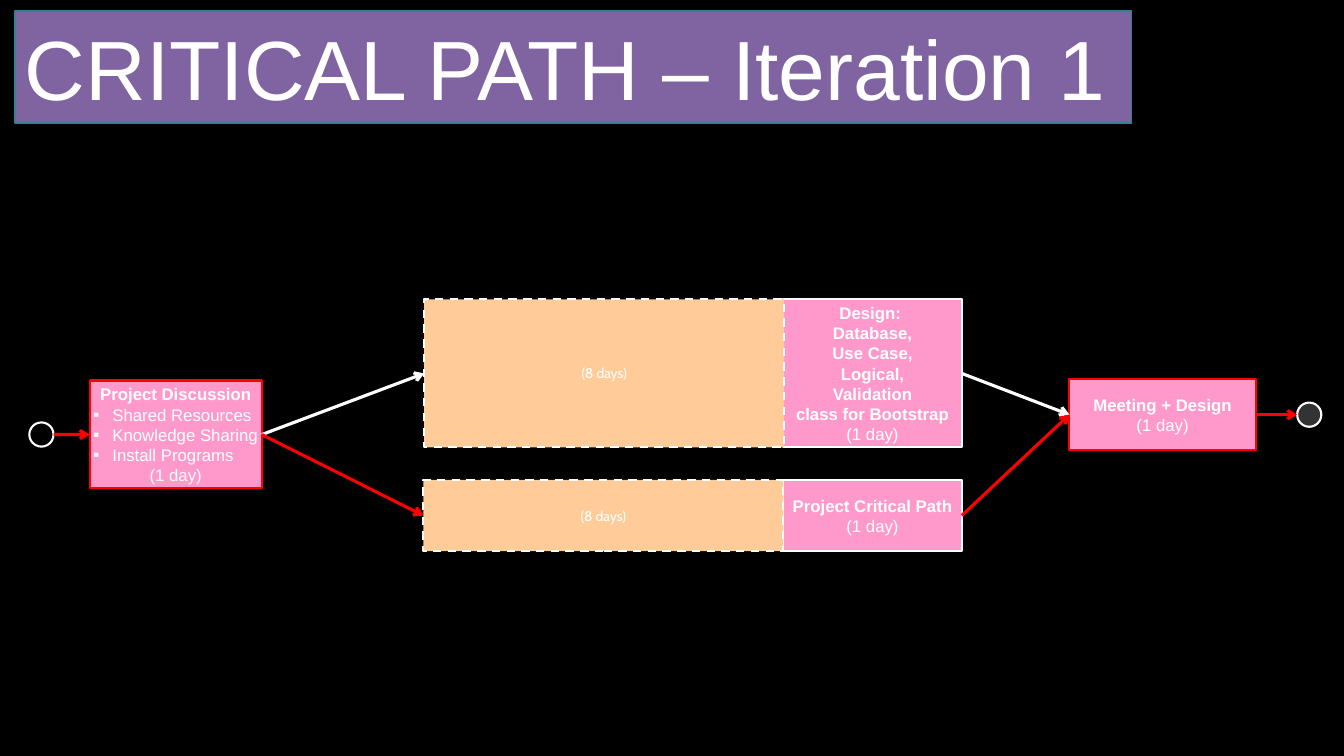
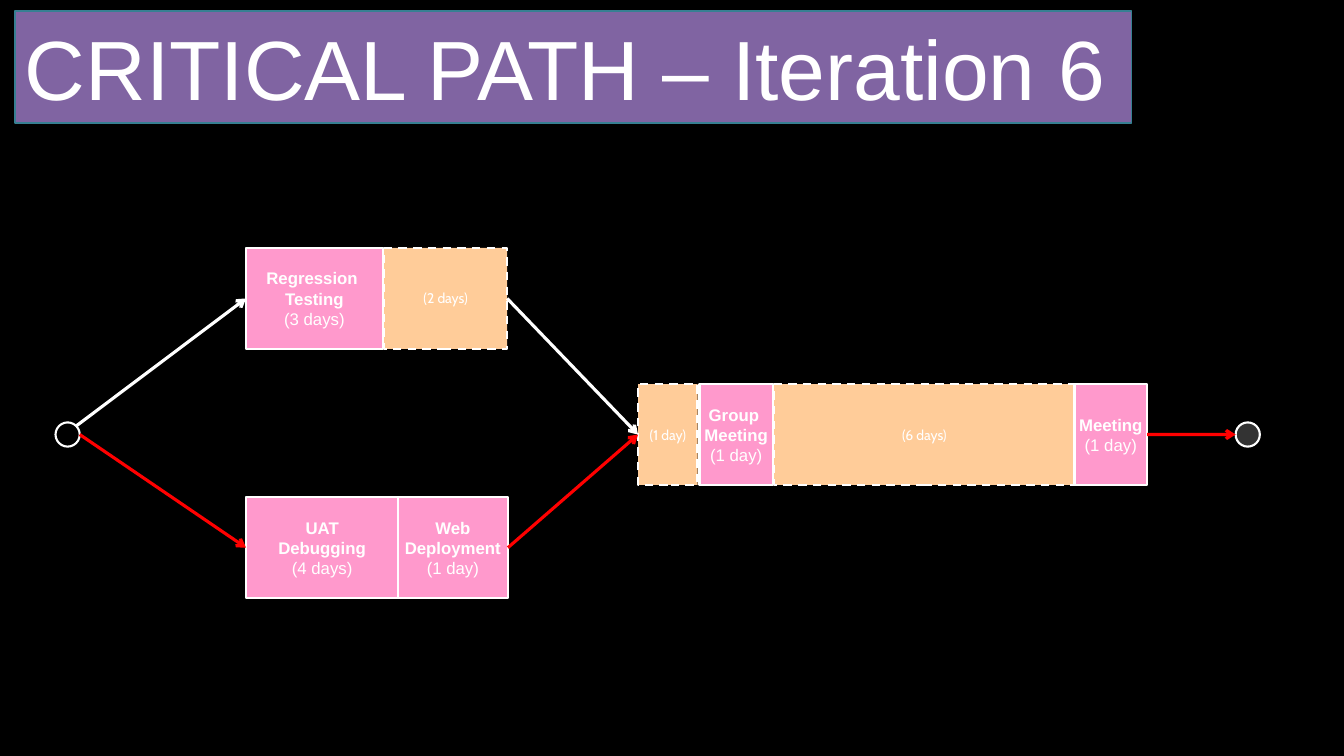
"""Critical path diagrams of two project iterations."""
from dataclasses import dataclass
from typing import Any, NamedTuple

from lxml.etree import SubElement
from pptx import Presentation
from pptx.dml.color import RGBColor
from pptx.enum.dml import MSO_LINE
from pptx.enum.shapes import MSO_CONNECTOR, MSO_SHAPE
from pptx.enum.text import MSO_ANCHOR, MSO_AUTO_SIZE, PP_ALIGN
from pptx.oxml.ns import qn
from pptx.util import Cm, Pt

WHITE, BLACK, CRITICAL = "FFFFFF", "000000", "FF0000"
TITLE_FILL, TITLE_EDGE = "8064A2", "377F92"
BULLET = "▪"
TITLE_FONT = {"name": "Arial", "size": Pt(60)}
TASK_FONT = {"name": "Arial", "size": Pt(12)}
SLACK_FONT = {"name": "Cabin", "size": Pt(10)}
NODE_SIZE = 0.61
LEFT_SITE, RIGHT_SITE = 1, 3


class Look(NamedTuple):
    """Appearance of one kind of block."""
    geometry: MSO_SHAPE
    fill: str
    font: dict[str, Any]
    dash: MSO_LINE | None = None


TASK = Look(MSO_SHAPE.RECTANGLE, "FF99CC", TASK_FONT)
SLACK = Look(MSO_SHAPE.RECTANGLE, "FFCC99", SLACK_FONT, MSO_LINE.DASH)
START = Look(MSO_SHAPE.OVAL, BLACK, TASK_FONT)
FINISH = Look(MSO_SHAPE.OVAL, "333333", TASK_FONT)


@dataclass(frozen=True)
class Block:
    """Step on the path, placed by its left edge and its middle height."""
    look: Look
    left: float
    middle: float
    width: float = NODE_SIZE
    height: float = NODE_SIZE
    heading: tuple[str, ...] = ()
    bullets: tuple[str, ...] = ()
    duration: str = ""
    edge: str = WHITE


class Link(NamedTuple):
    """Arrow from one named block to another."""
    source: str
    target: str
    colour: str = CRITICAL
    from_upper_right: bool = False


class Iteration(NamedTuple):
    """Content of one slide."""
    number: int
    blocks: dict[str, Block]
    links: list[Link]


MIDLINE = 10.95
MEETING_LINE = 10.45
DESIGN_LINE, CRITICAL_LINE = 9.41, 12.99
DESIGN_HEIGHT, CRITICAL_HEIGHT = 3.73, 1.8
TESTING_LINE, DEPLOY_LINE, ROW_HEIGHT = 7.52, 13.8, 2.54

ITERATIONS = [
    Iteration(1, {
        "start": Block(START, 0.74, MIDLINE),
        "meeting": Block(TASK, 26.95, MEETING_LINE, 4.7, CRITICAL_HEIGHT,
                         ("Meeting + Design",), (), "(1 day)", CRITICAL),
        "finish": Block(FINISH, 32.69, MEETING_LINE),
        "discussion": Block(TASK, 2.26, MIDLINE, 4.34, 2.72, ("Project Discussion",),
                            ("Shared Resources", "Knowledge Sharing", "Install Programs"),
                            "(1 day)", CRITICAL),
        "design": Block(TASK, 19.74, DESIGN_LINE, 4.5, DESIGN_HEIGHT,
                        ("Design: ", "Database,", "Use Case,", "Logical,", "Validation",
                         "class for Bootstrap"), (), "(1 day)"),
        "critical path": Block(TASK, 19.74, CRITICAL_LINE, 4.5, CRITICAL_HEIGHT,
                               ("Project Critical Path",), (), "(1 day)"),
        "design slack": Block(SLACK, 10.69, DESIGN_LINE, 9.07, DESIGN_HEIGHT,
                              duration="(8 days)"),
        "critical slack": Block(SLACK, 10.67, CRITICAL_LINE, 9.07, CRITICAL_HEIGHT,
                                duration="(8 days)"),
    }, [
        Link("start", "discussion"),
        Link("discussion", "design slack", WHITE),
        Link("discussion", "critical slack"),
        Link("design", "meeting", WHITE),
        Link("critical path", "meeting"),
        Link("meeting", "finish"),
    ]),
    Iteration(6, {
        "start": Block(START, 1.4, MIDLINE),
        "finish": Block(FINISH, 31.14, MIDLINE),
        "debugging": Block(TASK, 6.2, DEPLOY_LINE, 3.84, ROW_HEIGHT,
                           ("UAT", "Debugging"), (), "(4 days)"),
        "deployment": Block(TASK, 10.03, DEPLOY_LINE, 2.77, ROW_HEIGHT,
                            ("Web", "Deployment"), (), "(1 day)"),
        "testing": Block(TASK, 6.2, TESTING_LINE, 3.45, ROW_HEIGHT,
                         ("Regression ", "Testing"), (), "(3 days)"),
        "testing slack": Block(SLACK, 9.68, TESTING_LINE, 3.1, ROW_HEIGHT,
                               duration="(2 days)"),
        "long slack": Block(SLACK, 19.51, MIDLINE, 7.57, ROW_HEIGHT, duration="(6 days)"),
        "meeting": Block(TASK, 27.08, MIDLINE, 1.83, ROW_HEIGHT,
                         ("Meeting",), (), "(1 day)"),
        "group meeting": Block(TASK, 17.63, MIDLINE, 1.85, ROW_HEIGHT,
                               ("Group ", "Meeting"), (), "(1 day)"),
        "short slack": Block(SLACK, 16.08, MIDLINE, 1.5, ROW_HEIGHT, duration="(1 day)"),
    }, [
        Link("start", "testing", WHITE, True),
        Link("start", "debugging"),
        Link("testing slack", "short slack", WHITE),
        Link("deployment", "short slack"),
        Link("meeting", "finish"),
    ]),
]


def paint(target: Any, colour: str) -> None:
    """Give a fill or a line a solid colour."""
    fill = getattr(target, "fill", target)
    fill.solid()
    fill.fore_color.rgb = RGBColor.from_string(colour)


def apply(target: Any, values: dict[str, Any]) -> None:
    """Set each format value on the target."""
    for name, value in values.items():
        setattr(target, name, value)


def add_panel(slide: Any, geometry: MSO_SHAPE, box: tuple[float, ...], fill: str,
              edge: str, line_format: dict[str, Any]) -> Any:
    """Draw a filled and outlined shape without a shadow."""
    panel = slide.shapes.add_shape(geometry, *map(Cm, box))
    panel.shadow.inherit = False
    paint(panel.fill, fill)
    paint(panel.line, edge)
    apply(panel.line, line_format)
    return panel


def write(paragraph: Any, text: str, font: dict[str, Any], alignment: PP_ALIGN) -> None:
    """Put white formatted text in a paragraph."""
    paragraph.alignment = alignment
    run = paragraph.add_run()
    run.text = text
    apply(run.font, font)
    paint(run.font, WHITE)


def add_bullet(paragraph: Any) -> None:
    """Give a paragraph a square bullet with a hanging indent."""
    properties = paragraph._p.get_or_add_pPr()
    properties.set("marL", str(Cm(0.48)))
    properties.set("indent", str(-Cm(0.48)))
    SubElement(properties, qn("a:buFont"), typeface="Arial")
    SubElement(properties, qn("a:buChar"), char=BULLET)


def add_title(slide: Any, number: int) -> None:
    """Draw the title band of an iteration."""
    band = add_panel(slide, MSO_SHAPE.RECTANGLE, (0.38, 0.28, 28.14, 2.82),
                     TITLE_FILL, TITLE_EDGE, {"width": Pt(1)})
    apply(band.text_frame, {"word_wrap": True, "vertical_anchor": MSO_ANCHOR.TOP,
                            "auto_size": MSO_AUTO_SIZE.SHAPE_TO_FIT_TEXT})
    write(band.text_frame.paragraphs[0], f"CRITICAL PATH – Iteration {number}",
          TITLE_FONT, PP_ALIGN.LEFT)


def add_block(slide: Any, block: Block) -> Any:
    """Draw one step with its heading, bullets and duration."""
    look = block.look
    box = (block.left, block.middle - block.height / 2, block.width, block.height)
    step = add_panel(slide, look.geometry, box, look.fill, block.edge,
                     {"width": Pt(1.5), "dash_style": look.dash})
    frame = step.text_frame
    apply(frame, {"word_wrap": False, "vertical_anchor": MSO_ANCHOR.MIDDLE})
    lines = [(text, True, False) for text in block.heading]
    lines += [(text, False, True) for text in block.bullets]
    if block.duration:
        lines.append((block.duration, False, False))
    for index, (text, bold, bulleted) in enumerate(lines):
        paragraph = frame.add_paragraph() if index else frame.paragraphs[0]
        if bulleted:
            add_bullet(paragraph)
        write(paragraph, text, look.font | {"bold": bold},
              PP_ALIGN.LEFT if bulleted else PP_ALIGN.CENTER)
    return step


def add_link(slide: Any, link: Link, blocks: dict[str, Block], steps: dict[str, Any]) -> None:
    """Draw an arrow between two steps, glued to the rectangles."""
    source, target = blocks[link.source], blocks[link.target]
    start_x, start_y = source.left + source.width, source.middle
    if link.from_upper_right:
        inset = source.width / 2 * (1 - 0.5 ** 0.5)
        start_x, start_y = start_x - inset, source.middle - source.height / 2 + inset
    ends = (start_x, start_y, target.left, target.middle)
    arrow = slide.shapes.add_connector(MSO_CONNECTOR.STRAIGHT, *map(Cm, ends))
    if source.look.geometry == MSO_SHAPE.RECTANGLE:
        arrow.begin_connect(steps[link.source], RIGHT_SITE)
    if target.look.geometry == MSO_SHAPE.RECTANGLE:
        arrow.end_connect(steps[link.target], LEFT_SITE)
    paint(arrow.line, link.colour)
    arrow.line.width = Pt(2.25)
    properties = arrow.element.spPr
    SubElement(properties.find(qn("a:ln")), qn("a:tailEnd"), type="arrow")
    SubElement(properties, qn("a:effectLst"))


def main() -> None:
    """Build and save the presentation."""
    deck = Presentation()
    apply(deck, {"slide_width": Cm(33.87), "slide_height": Cm(19.05)})
    paint(deck.slide_master.background, BLACK)
    for iteration in ITERATIONS:
        slide = deck.slides.add_slide(deck.slide_layouts[6])
        add_title(slide, iteration.number)
        steps = {name: add_block(slide, block) for name, block in iteration.blocks.items()}
        for link in iteration.links:
            add_link(slide, link, iteration.blocks, steps)
    deck.save("out.pptx")


if __name__ == "__main__":
    main()
